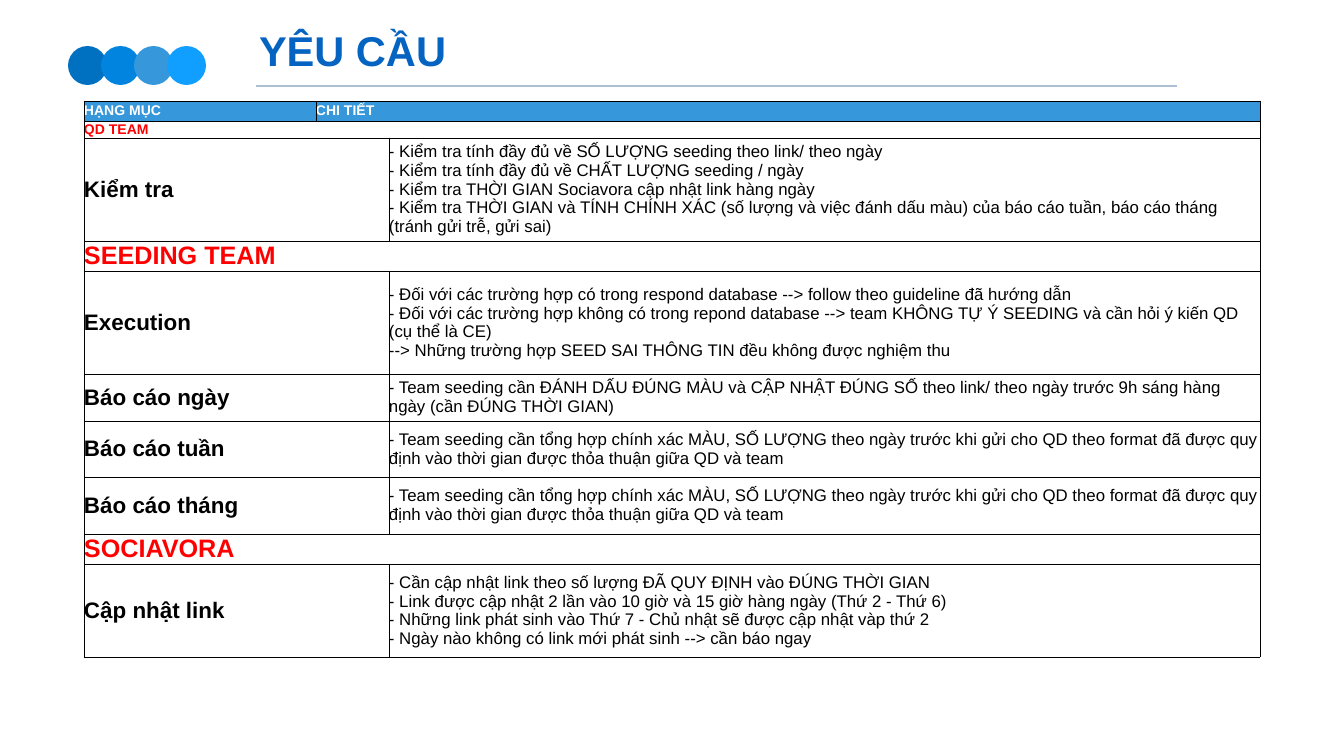
from dataclasses import dataclass

from lxml.etree import SubElement
from pptx import Presentation
from pptx.dml.color import RGBColor
from pptx.enum.shapes import MSO_CONNECTOR, MSO_SHAPE
from pptx.enum.text import MSO_ANCHOR
from pptx.oxml.ns import qn
from pptx.util import Pt

EMU_PER_PIXEL = 914400 / 50.4


@dataclass(frozen=True)
class Theme:
    """Colours and type sizes of the deck."""
    font: str = "Arial"
    dots: tuple = ("0070C0", "0084DF", "3698DA", "119FFF")
    rule: str = "ACC0D4"
    title: str = "0563C1"
    header: str = "3698DA"
    white: str = "FFFFFF"
    black: str = "000000"
    red: str = "FF0000"
    title_size: float = 59.4
    small_size: int = 20
    section_size: int = 36
    item_size: int = 32
    detail_size: int = 24


THEME = Theme()

CHECKS = """- Kiểm tra tính đầy đủ về SỐ LƯỢNG seeding theo link/ theo ngày
- Kiểm tra tính đầy đủ về CHẤT LƯỢNG seeding / ngày
- Kiểm tra THỜI GIAN Sociavora cập nhật link hàng ngày
- Kiểm tra THỜI GIAN và TÍNH CHÍNH XÁC (số lượng và việc đánh dấu màu) của báo cáo tuần, báo cáo tháng (tránh gửi trễ, gửi sai)"""
EXECUTION = """- Đối với các trường hợp có trong respond database --> follow theo guideline đã hướng dẫn
- Đối với các trường hợp không có trong repond database --> team KHÔNG TỰ Ý SEEDING và cần hỏi ý kiến QD (cụ thể là CE)
--> Những trường hợp SEED SAI THÔNG TIN đều không được nghiệm thu"""
DAILY = ("- Team seeding cần ĐÁNH DẤU ĐÚNG MÀU và CẬP NHẬT ĐÚNG SỐ theo link/ "
         "theo ngày trước 9h sáng hàng ngày (cần ĐÚNG THỜI GIAN)")
SUMMARY = ("- Team seeding cần tổng hợp chính xác MÀU, SỐ LƯỢNG theo ngày trước khi gửi "
           "cho QD theo format đã được quy định vào thời gian được thỏa thuận giữa QD và team")
LINKS = """- Cần cập nhật link theo số lượng ĐÃ QUY ĐỊNH vào ĐÚNG THỜI GIAN
- Link được cập nhật 2 lần vào 10 giờ và 15 giờ hàng ngày (Thứ 2 - Thứ 6)
- Những link phát sinh vào Thứ 7 - Chủ nhật sẽ được cập nhật vàp thứ 2
- Ngày nào không có link mới phát sinh --> cần báo ngay"""

# kind, height, texts
ROWS = [
    ("header", 20, ("HẠNG MỤC", "CHI TIẾT")),
    ("team", 16, ("QD TEAM",)),
    ("item", 103, ("Kiểm tra", CHECKS)),
    ("section", 29, ("SEEDING TEAM",)),
    ("item", 103, ("Execution", EXECUTION)),
    ("item", 47, ("Báo cáo ngày", DAILY)),
    ("item", 56, ("Báo cáo tuần", SUMMARY)),
    ("item", 57, ("Báo cáo tháng", SUMMARY)),
    ("section", 29, ("SOCIAVORA",)),
    ("item", 93, ("Cập nhật link", LINKS)),
]
COLUMNS = (232, 73, 871)

# kind: (first column, last column, text format) of each cell
HEADER_FORMAT = dict(size=THEME.small_size, color=THEME.white, bold=True)
CELLS = {
    "header": [(0, 0, HEADER_FORMAT), (1, 2, HEADER_FORMAT)],
    "team": [(0, 2, dict(size=THEME.small_size, color=THEME.red, bold=True))],
    "section": [(0, 2, dict(size=THEME.section_size, color=THEME.red, bold=True))],
    "item": [(0, 1, dict(size=THEME.item_size, color=THEME.black, bold=True)),
             (2, 2, dict(size=THEME.detail_size, color=THEME.black))],
}


def px(pixels):
    """Turn pixels into EMU."""
    return round(pixels * EMU_PER_PIXEL)


def rgb(code):
    """Turn a hex code into a colour."""
    return RGBColor.from_string(code)


def write(frame, text, size, color, bold=False):
    """Write each line of text as one formatted paragraph."""
    frame.word_wrap = True
    for index, line in enumerate(text.split("\n")):
        para = frame.add_paragraph() if index else frame.paragraphs[0]
        span = para.add_run()
        span.text = line
        span.font.name = THEME.font
        span.font.size = Pt(size)
        span.font.bold = bold
        span.font.color.rgb = rgb(color)


def add_dots(page, left, top, size, step):
    """Place the row of overlapping dots."""
    for index, color in enumerate(THEME.dots):
        dot = page.shapes.add_shape(MSO_SHAPE.OVAL, px(left + index * step), px(top),
                                    px(size), px(size))
        dot.shadow.inherit = False
        dot.fill.solid()
        dot.fill.fore_color.rgb = rgb(color)
        dot.line.fill.background()


def add_heading(page, left, top, width, height, text):
    """Place the title and the rule beneath it."""
    rule_top, rule_width = top + 67, 921
    rule = page.shapes.add_connector(MSO_CONNECTOR.STRAIGHT, px(left), px(rule_top),
                                     px(left + rule_width), px(rule_top))
    rule.line.color.rgb = rgb(THEME.rule)
    rule.line.width = Pt(2)
    SubElement(rule._element.spPr, qn("a:effectLst"))
    box = page.shapes.add_textbox(px(left), px(top), px(width), px(height))
    frame = box.text_frame
    frame.vertical_anchor = MSO_ANCHOR.MIDDLE
    frame.margin_left = frame.margin_right = px(3)
    frame.margin_top = frame.margin_bottom = px(3)
    write(frame, text, THEME.title_size, THEME.title, bold=True)


def style_cell(cell, filled):
    """Give a cell thin black borders, no margins and its fill."""
    properties = cell._tc.get_or_add_tcPr()
    for side in ("lnL", "lnR", "lnT", "lnB"):
        border = SubElement(properties, qn("a:" + side), w=str(Pt(0.5)))
        fill = SubElement(border, qn("a:solidFill"))
        SubElement(fill, qn("a:srgbClr"), val=THEME.black)
    cell.margin_left = cell.margin_right = cell.margin_top = cell.margin_bottom = 0
    cell.vertical_anchor = MSO_ANCHOR.MIDDLE
    if filled:
        cell.fill.solid()
        cell.fill.fore_color.rgb = rgb(THEME.header)
    else:
        cell.fill.background()


def add_requirements(page, left, top):
    """Place the table of requirements."""
    height = sum(row[1] for row in ROWS)
    table = page.shapes.add_table(len(ROWS), len(COLUMNS), px(left), px(top),
                                  px(sum(COLUMNS)), px(height)).table
    table.first_row = table.horz_banding = False
    for column, width in zip(table.columns, COLUMNS):
        column.width = px(width)
    for index, (kind, row_height, texts) in enumerate(ROWS):
        table.rows[index].height = px(row_height)
        for cell in table.rows[index].cells:
            style_cell(cell, filled=kind == "header")
        for (first, last, text_format), text in zip(CELLS[kind], texts):
            cell = table.cell(index, first)
            if last > first:
                cell.merge(table.cell(index, last))
            write(cell.text_frame, text, **text_format)


def main():
    """Build the deck and save it."""
    deck = Presentation()
    deck.slide_width, deck.slide_height = px(1344), px(756)
    page = deck.slides.add_slide(deck.slide_layouts[6])
    add_dots(page, left=68, top=46, size=39, step=33)
    add_heading(page, left=256, top=19, width=1015, height=62, text="YÊU CẦU")
    add_requirements(page, left=84, top=101)
    deck.save("out.pptx")


main()
